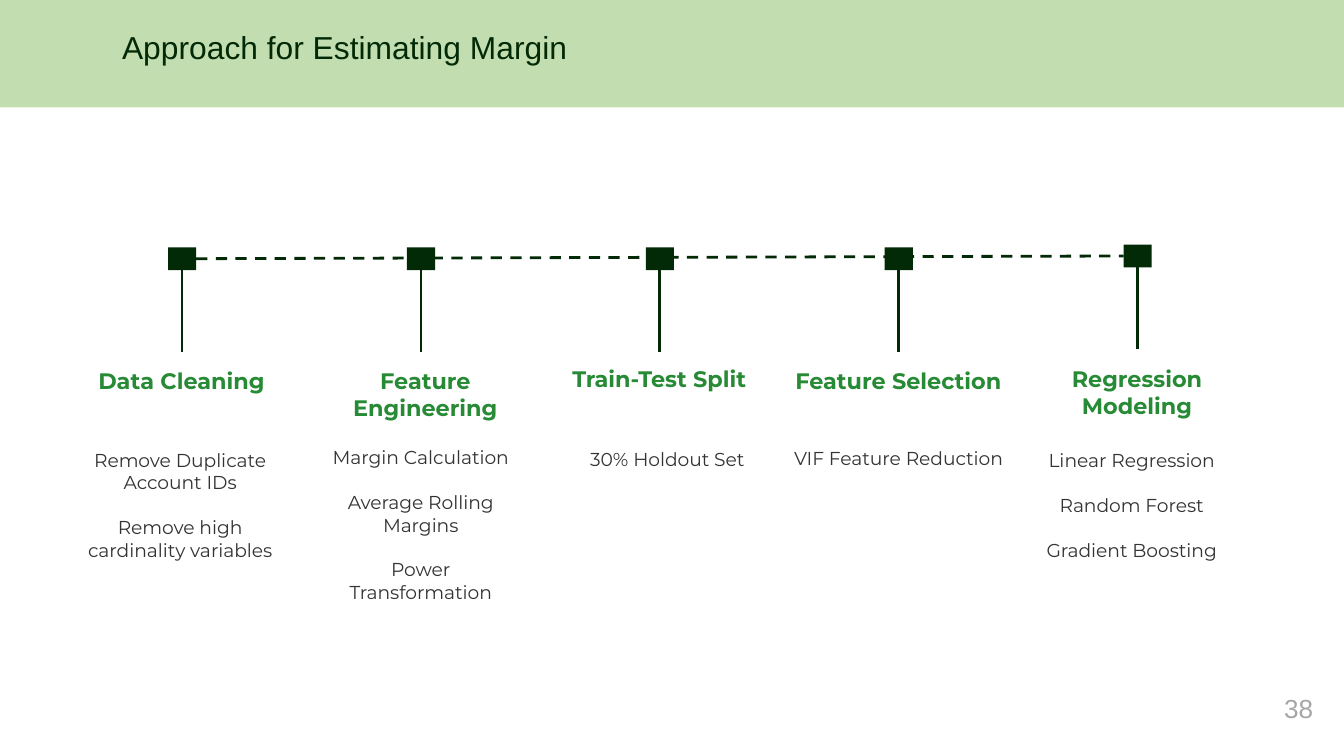
"""Build the slide on the approach for estimating margin."""
from pptx import Presentation
from pptx.dml.color import RGBColor
from pptx.enum.dml import MSO_LINE_DASH_STYLE as Dash
from pptx.enum.shapes import MSO_CONNECTOR as Conn, MSO_SHAPE as Kind
from pptx.enum.text import PP_ALIGN as Align
from pptx.util import Inches, Pt
from lxml import etree

DARK, GREEN, GRAY, PALE, BAND = "032A06", "278A35", "333333", "A6A6A6", "C2DDAF"
TITLE, PAGE = "Approach for Estimating Margin", "38"
STEPS = [
    dict(top=1.84, head="Data Cleaning", head_box=(0.54, 2.63, 1.62, 0.96),
         items=["Remove Duplicate Account IDs", "Remove high cardinality variables"],
         item_box=(0.54, 3.24, 1.6, 1.27)),
    dict(top=1.84, head="Feature Engineering", head_box=(2.19, 2.63, 1.95, 0.72),
         items=["Margin Calculation", "Average Rolling Margins", "Power Transformation"],
         item_box=(2.29, 3.22, 1.68, 1.26)),
    dict(top=1.84, head="Train-Test Split", head_box=(3.99, 2.62, 1.83, 0.72),
         items=["30% Holdout Set"], item_box=(4.26, 3.25, 1.41, 1.34)),
    dict(top=1.84, head="Feature Selection", head_box=(5.77, 2.63, 1.83, 0.72),
         items=["VIF Feature Reduction"], item_box=(5.79, 3.24, 1.79, 1.26)),
    dict(top=1.82, head="Regression Modeling", head_box=(7.65, 2.62, 1.62, 0.72),
         items=["Linear Regression", "Random Forest", "Gradient Boosting"],
         item_box=(7.61, 3.24, 1.62, 1.05)),
]
WIDTH = 10
LEFT, RIGHT = 1.25, 8.36
WIDE, HIGH, STEM = 0.21, 0.17, 0.61
NS = "http://schemas.openxmlformats.org/drawingml/2006/main"


def color(code):
    return RGBColor.from_string(code)


def add_rect(slide, box, fill):
    rect = slide.shapes.add_shape(Kind.RECTANGLE, *map(Inches, box))
    rect.shadow.inherit = False
    rect.fill.solid()
    rect.fill.fore_color.rgb = color(fill)
    rect.line.fill.background()
    return rect


def add_text(slide, box, lines, size, ink, font="Montserrat", bold=False,
             align=Align.CENTER, pad=0.1, gap=0):
    frame = slide.shapes.add_textbox(*map(Inches, box)).text_frame
    frame.word_wrap = True
    frame.margin_top = frame.margin_bottom = Inches(pad)
    frame.text = "\n".join(lines)
    for num, para in enumerate(frame.paragraphs):
        para.alignment = align
        if num:
            para.space_before = Pt(gap)
        for run in para.runs:
            run.font.name, run.font.size, run.font.bold = font, Pt(size), bold
            run.font.color.rgb = color(ink)


def add_line(slide, start, end):
    line = slide.shapes.add_connector(Conn.STRAIGHT, *map(Inches, start + end))
    line.line.color.rgb = color(DARK)
    line.line.width = Pt(1.5)
    etree.SubElement(line._element.spPr, f"{{{NS}}}effectLst")
    return line


def main():
    deck = Presentation()
    deck.slide_width, deck.slide_height = Inches(WIDTH), Inches(WIDTH * 9 / 16)
    slide = deck.slides.add_slide(deck.slide_layouts[6])

    add_rect(slide, (0, 0, WIDTH, 0.8), BAND)
    add_text(slide, (0.81, 0.11, 8.51, 0.51), [TITLE], 17, DARK, "Arial",
             align=Align.LEFT)
    add_text(slide, (9.27, 5.1, 0.6, 0.43), [PAGE], 14, PALE, "Arial",
             align=Align.RIGHT, pad=0.05)

    pitch = (RIGHT - LEFT) / (len(STEPS) - 1)
    marks = []
    for num, step in enumerate(STEPS):
        left, top = LEFT + num * pitch, step["top"]
        mid, base = left + WIDE / 2, top + HIGH
        mark = add_rect(slide, (left, top, WIDE, HIGH), DARK)
        stem = add_line(slide, (mid, base), (mid, base + STEM))
        stem.begin_connect(mark, 2)
        marks.append(mark)
        add_text(slide, step["head_box"], [step["head"]], 12, GREEN, bold=True)
        add_text(slide, step["item_box"], step["items"], 10, GRAY, gap=12)

    track = add_line(slide, (LEFT + WIDE, 1.93), (RIGHT, 1.91))
    track.line.dash_style = Dash.DASH
    track.begin_connect(marks[0], 3)
    track.end_connect(marks[-1], 1)
    deck.save("out.pptx")


if __name__ == "__main__":
    main()
